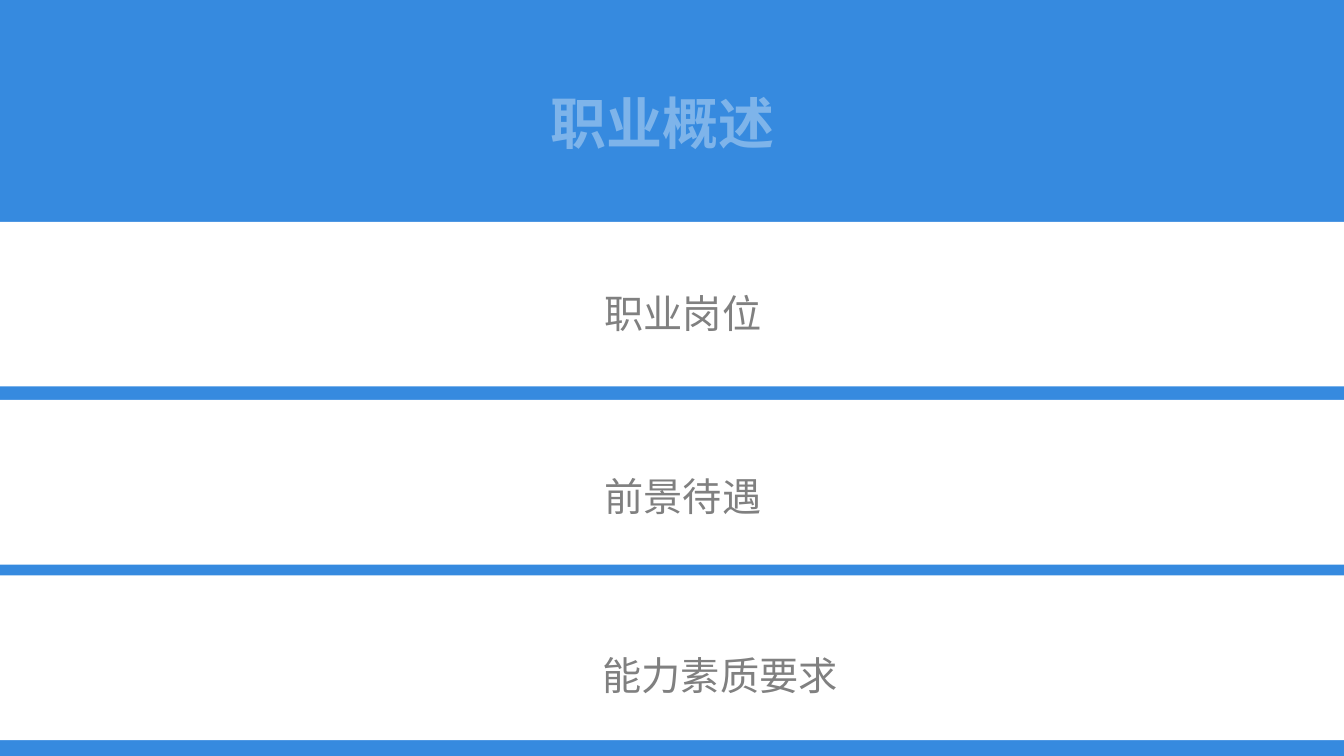
"""Build the career overview agenda slide."""
from lxml import etree
from pptx import Presentation
from pptx.dml.color import RGBColor
from pptx.enum.shapes import MSO_SHAPE
from pptx.enum.text import MSO_ANCHOR, MSO_AUTO_SIZE, PP_ALIGN
from pptx.oxml.ns import qn
from pptx.util import Cm, Pt

RECT = MSO_SHAPE.RECTANGLE
TOP = MSO_ANCHOR.TOP
GROW = MSO_AUTO_SIZE.SHAPE_TO_FIT_TEXT
LEFT, CENTER = PP_ALIGN.LEFT, PP_ALIGN.CENTER
FONT = "Noto Sans CJK SC"
BLUE, PALE, WHITE, GRAY = "368ADF", "7EB4EA", "FFFFFF", "808080"


def paint(fill, color):
    fill.solid()
    fill.fore_color.rgb = RGBColor.from_string(color)


def write(shape, text, size, color, bold=False, align=LEFT, spacing=1.0):
    frame = shape.text_frame
    frame.text = text
    frame.word_wrap = True
    frame.auto_size = GROW
    frame.vertical_anchor = TOP
    para = frame.paragraphs[0]
    para.alignment = align
    para.line_spacing = spacing
    font = para.font
    font.size, font.bold, font.name = Pt(size), bold, FONT
    paint(font.fill, color)
    etree.SubElement(font._element, qn("a:ea"), typeface=FONT)


deck = Presentation()
deck.slide_width, deck.slide_height = Cm(33.87), Cm(19.05)
slide = deck.slides.add_slide(deck.slide_layouts[5])
paint(slide.background.fill, BLUE)

title = slide.shapes.title
title.left, title.top = Cm(12.7), Cm(2.11)
title.width, title.height = Cm(8), Cm(1.96)
write(title, "职业概述", 40, PALE, bold=True, align=CENTER)

rows = [
    ("职业岗位", 5.59, 14.99, 7.16, 1.45, 1.0),
    ("前景待遇", 10.08, 14.99, 11.43, 1.65, 1.3),
    ("能力素质要求", 14.5, 14.94, 15.93, 1.7, 1.3),
]
for text, band_top, left, top, height, spacing in rows:
    band = slide.shapes.add_shape(RECT, 0, Cm(band_top), deck.slide_width, Cm(4.15))
    band.shadow.inherit = False
    paint(band.fill, WHITE)
    band.line.fill.background()
    label = slide.shapes.add_textbox(Cm(left), Cm(top), Cm(16.59), Cm(height))
    write(label, text, 28, GRAY, spacing=spacing)

deck.save("out.pptx")
